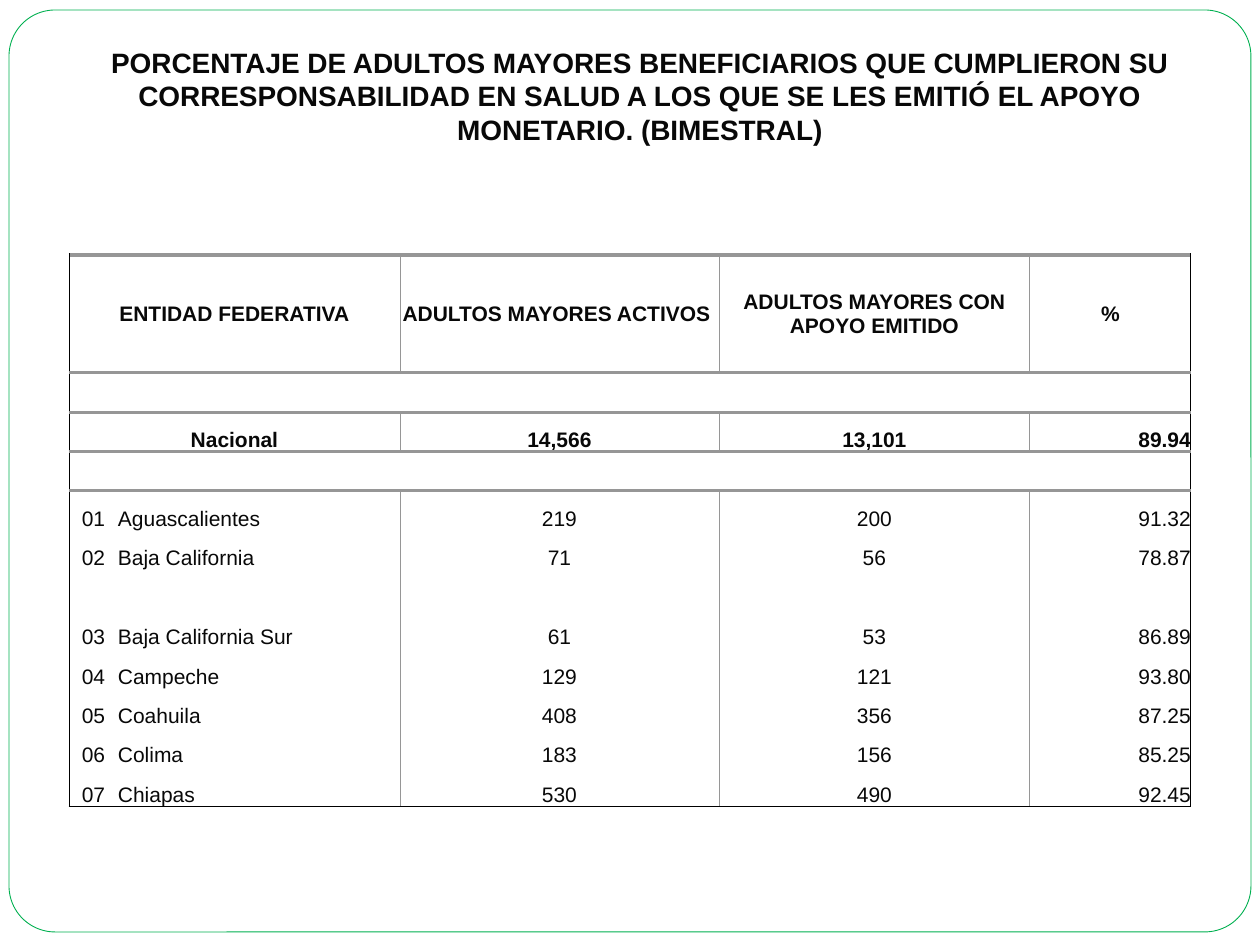
from lxml import etree
from pptx import Presentation
from pptx.dml.color import RGBColor
from pptx.enum.shapes import MSO_SHAPE
from pptx.enum.text import MSO_ANCHOR, PP_ALIGN
from pptx.oxml.ns import qn
from pptx.util import Pt

PX = 914400 / 126
LEFT, CENTER, RIGHT = PP_ALIGN.LEFT, PP_ALIGN.CENTER, PP_ALIGN.RIGHT
MIDDLE, BOTTOM = MSO_ANCHOR.MIDDLE, MSO_ANCHOR.BOTTOM
ROUNDED = MSO_SHAPE.ROUNDED_RECTANGLE
COLORS = {"white": "FFFFFF", "green": "00B050", "text": "080808",
          "gray": "969696", "black": "000000"}

TITLE = ("PORCENTAJE DE ADULTOS MAYORES BENEFICIARIOS QUE CUMPLIERON SU "
         "CORRESPONSABILIDAD EN SALUD A LOS QUE SE LES EMITIÓ EL APOYO "
         "MONETARIO. (BIMESTRAL)")
ROWS = [
    ["ENTIDAD FEDERATIVA", "", "", "ADULTOS MAYORES ACTIVOS ",
     "ADULTOS MAYORES CON APOYO EMITIDO", "%"],
    [""] * 6,
    ["Nacional", "", "", "14,566", "13,101", "89.94"],
    [""] * 6,
    ["01", "Aguascalientes", "", "219", "200", "91.32"],
    ["02", "Baja California", "", "71", "56", "78.87"],
    ["03", "Baja California Sur", "", "61", "53", "86.89"],
    ["04", "Campeche", "", "129", "121", "93.80"],
    ["05", "Coahuila", "", "408", "356", "87.25"],
    ["06", "Colima", "", "183", "156", "85.25"],
    ["07", "Chiapas", "", "530", "490", "92.45"],
]
COLUMN_WIDTHS = [49, 14, 268, 319, 311, 161]
ROW_HEIGHTS = [118, 40, 39, 39, 40, 39, 79, 40, 39, 39, 40]
COLUMN_ALIGNMENTS = [CENTER, LEFT, LEFT, CENTER, CENTER, RIGHT]
MERGES = {0: (0, 2), 1: (0, 1), 2: (0, 2)}
FIRST_STATE_ROW = 4
LAST_ROW, LAST_COLUMN = len(ROWS) - 1, len(COLUMN_WIDTHS) - 1


def write_text(text_frame, text, size=12, bold=False, alignment=CENTER):
    paragraph = text_frame.paragraphs[0]
    paragraph.alignment = alignment
    run = paragraph.add_run()
    run.text = text
    run.font.name = "Arial"
    run.font.size = Pt(size)
    run.font.bold = bold
    run.font.color.rgb = RGBColor.from_string(COLORS["text"])


def add_border(cell, side, border):
    properties = cell._tc.get_or_add_tcPr()
    line = etree.SubElement(properties, qn(f"a:ln{side}"))
    if border is None:
        etree.SubElement(line, qn("a:noFill"))
        return
    color, width = border
    line.set("w", str(Pt(width)))
    fill = etree.SubElement(line, qn("a:solidFill"))
    etree.SubElement(fill, qn("a:srgbClr"), val=COLORS[color])


presentation = Presentation()
presentation.slide_width = round(1260 * PX)
presentation.slide_height = round(945 * PX)
slide = presentation.slides.add_slide(presentation.slide_layouts[6])

frame = slide.shapes.add_shape(
    ROUNDED, *(round(value * PX) for value in (9, 10, 1242, 922)))
frame.adjustments[0] = 0.05
frame.shadow.inherit = False
frame.fill.solid()
frame.fill.fore_color.rgb = RGBColor.from_string(COLORS["white"])
frame.line.color.rgb = RGBColor.from_string(COLORS["green"])
frame.line.width = Pt(0.5)

table = slide.shapes.add_table(
    len(ROWS), len(COLUMN_WIDTHS), round(69 * PX), round(255 * PX),
    round(sum(COLUMN_WIDTHS) * PX), round(sum(ROW_HEIGHTS) * PX)).table
table.first_row = False
table.horz_banding = False
for column, width in zip(table.columns, COLUMN_WIDTHS):
    column.width = round(width * PX)
for row, height in zip(table.rows, ROW_HEIGHTS):
    row.height = round(height * PX)

thin_gray, thick_gray, thin_black = ("gray", 0.5), ("gray", 2), ("black", 0.5)
for row_index, values in enumerate(ROWS):
    first, last = MERGES.get(row_index, (1, 2))
    table.cell(row_index, first).merge(table.cell(row_index, last))
    divider = thin_gray if any(values) else None
    top = thick_gray if row_index <= FIRST_STATE_ROW else None
    bottom = thick_gray if row_index < FIRST_STATE_ROW else None
    if row_index == LAST_ROW:
        bottom = thin_black
    for column_index, value in enumerate(values):
        cell = table.cell(row_index, column_index)
        cell.margin_left = cell.margin_right = 0
        cell.margin_top = cell.margin_bottom = 0
        cell.vertical_anchor = MIDDLE if row_index == 0 else BOTTOM
        end = last if column_index == first else column_index
        left = divider if column_index >= 3 else None
        right = divider if end >= 2 else None
        if column_index == 0:
            left = thin_black
        if column_index == LAST_COLUMN:
            right = thin_black
        for side, border in zip("LRTB", (left, right, top, bottom)):
            add_border(cell, side, border)
        cell.fill.background()
        if value:
            alignment = COLUMN_ALIGNMENTS[column_index]
            write_text(cell.text_frame, value, bold=row_index < FIRST_STATE_ROW,
                       alignment=CENTER if row_index == 0 else alignment)

title = slide.shapes.add_textbox(
    *(round(value * PX) for value in (49, 39, 1182, 115)))
title.text_frame.word_wrap = True
write_text(title.text_frame, TITLE, size=16, bold=True)

presentation.save("out.pptx")
